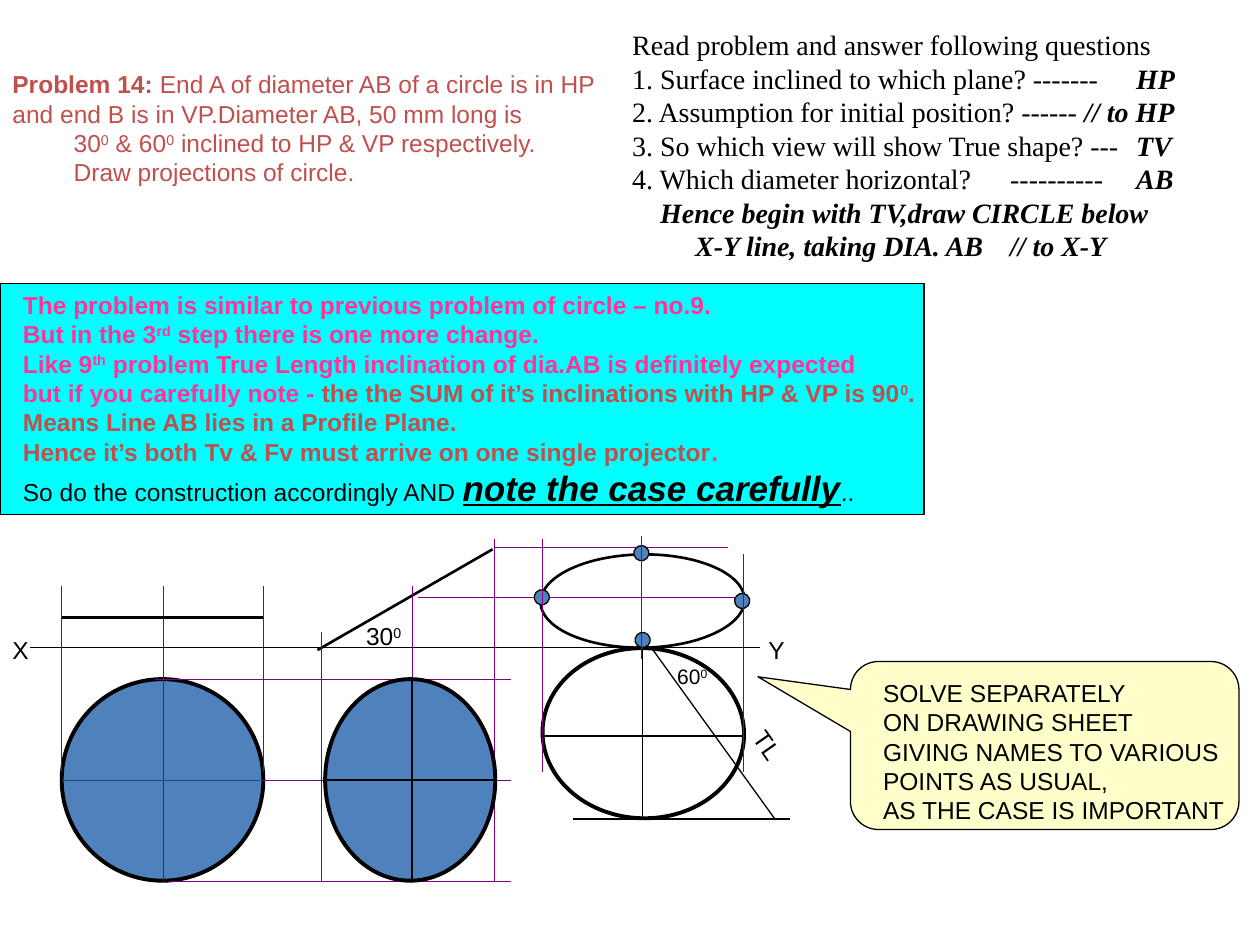
from pptx import Presentation
from pptx.dml.color import RGBColor
from pptx.enum.shapes import MSO_CONNECTOR, MSO_SHAPE as SHAPE
from pptx.enum.text import MSO_AUTO_SIZE as AUTO, PP_ALIGN as ALIGN
from pptx.oxml.ns import qn
from pptx.util import Pt
from lxml.etree import SubElement

COLORS = {
    "black": "000000", "white": "FFFFFF", "red": "C0504D", "pink": "FF3399",
    "cyan": "00FFFF", "cream": "FFFFCC", "blue": "4F81BD", "navy": "1F497D",
    "purple": "800080",
}


class SlideBuilder:
    font = "Arial"
    size = 14

    def __init__(self, slide):
        self.slide = slide

    def color(self, name):
        return RGBColor.from_string(COLORS[name])

    def shape(self, kind, box, fill, weight=0.75, rotation=0):
        shape = self.slide.shapes.add_shape(kind, *map(Pt, box))
        shape.shadow.inherit = False
        shape.fill.solid()
        shape.fill.fore_color.rgb = self.color(fill)
        shape.line.color.rgb = self.color("black")
        shape.line.width = Pt(weight)
        shape.rotation = rotation
        return shape

    def line(self, start, end, color="black", weight=0.75):
        line = self.slide.shapes.add_connector(
            MSO_CONNECTOR.STRAIGHT, *map(Pt, (*start, *end)))
        line.line.color.rgb = self.color(color)
        line.line.width = Pt(weight)
        SubElement(line._element.spPr, qn("a:effectLst"))

    def vertical(self, x, top, bottom, color="purple", weight=0.25):
        self.line((x, top), (x, bottom), color, weight)

    def horizontal(self, y, left, right, color="purple", weight=0.25):
        self.line((left, y), (right, y), color, weight)

    def text(self, box, paragraphs, color="black", size=None, font=None,
             align=ALIGN.LEFT, wrap=False, rotation=0):
        """Each paragraph is (runs, options); options hold indent and tabs."""
        shape = self.slide.shapes.add_textbox(*map(Pt, box))
        shape.rotation = rotation
        frame = shape.text_frame
        frame.word_wrap = wrap
        frame.auto_size = AUTO.SHAPE_TO_FIT_TEXT
        for index, (runs, options) in enumerate(paragraphs):
            paragraph = frame.paragraphs[0] if index == 0 else frame.add_paragraph()
            paragraph.alignment = align
            self.layout(paragraph, **options)
            for run in runs:
                self.run(paragraph, color, size or self.size, font or self.font, *run)

    def layout(self, paragraph, indent=0, tabs=()):
        properties = paragraph._p.get_or_add_pPr()
        properties.set("marL", str(Pt(indent)))
        properties.set("indent", "0")
        if tabs:
            tab_list = SubElement(properties, qn("a:tabLst"))
            for position in tabs:
                SubElement(tab_list, qn("a:tab"), pos=str(Pt(position)), algn="l")

    def run(self, paragraph, color, size, font, words, flags="", own_color=None, own_size=None):
        """Flags: b bold, i italic, u underline, ^ superscript."""
        run = paragraph.add_run()
        run.text = words
        run.font.name = font
        run.font.size = Pt(own_size or size)
        run.font.bold = "b" in flags
        run.font.italic = "i" in flags
        run.font.underline = "u" in flags
        run.font.color.rgb = self.color(own_color or color)
        if "^" in flags:
            run._r.get_or_add_rPr().set("baseline", "30000")


def line_of(*runs, **options):
    """A paragraph; a plain string stands for an unstyled run."""
    return [(run,) if isinstance(run, str) else run for run in runs], options


def add_notes(builder):
    # Problem statement
    builder.text((0, 36, 349.2, 74.9), [
        line_of(("Problem 14: ", "b"), "End A of diameter AB of a circle is in HP"),
        line_of("and end B is in VP.Diameter AB, 50 mm long is"),
        line_of("30", ("0", "^"), " & 60", ("0", "^"),
                " inclined to HP & VP respectively.", indent=35),
        line_of("Draw projections of circle.", indent=35),
    ], color="red")

    # Explanation panel
    builder.shape(SHAPE.RECTANGLE, (0, 162, 528, 132), "cyan")
    builder.text((6, 162, 526, 132), [
        line_of(("The problem is similar to previous problem of circle – no.9.", "b")),
        line_of(("But in the 3", "b"), ("rd", "b^"), (" step there is one more change.", "b")),
        line_of(("Like 9", "b"), ("th", "b^"),
                (" problem True Length inclination of dia.AB is definitely expected", "b")),
        line_of(("but if you carefully note - ", "b"),
                ("the the SUM of it’s inclinations with HP & VP is 90", "b", "red"),
                ("0", "b^", "red"), (".", "b", "red")),
        line_of(("Means Line AB lies in a Profile Plane.", "b", "red")),
        line_of(("Hence it’s both Tv & Fv must arrive on one single projector", "b", "red"),
                (".", "b")),
        line_of(("So do the construction accordingly AND ", "", "black"),
                ("note the case carefully", "biu", "black", 20), ("..", "", "black")),
    ], color="pink")

    # Callout
    callout = builder.shape(SHAPE.ROUNDED_RECTANGULAR_CALLOUT, (486, 378, 222, 96), "cream")
    for index, value in enumerate((-0.738, -0.409, 0.167)):
        callout.adjustments[index] = value
    builder.text((497.5, 383.8, 214.5, 90.7), [line_of(words) for words in (
        "SOLVE SEPARATELY", "ON DRAWING SHEET", "GIVING NAMES TO VARIOUS",
        "POINTS AS USUAL,", "AS THE CASE IS IMPORTANT")])


def add_drawing(builder):
    xy, top, middle, bottom = 370.1, 388.1, 445.7, 503.3

    # Final front view, then first top view
    builder.shape(SHAPE.OVAL, (308.9, 316.8, 116.6, 53.3), "white", 1.5, 359.2)
    builder.shape(SHAPE.OVAL, (35.3, top, 115.2, 115.2), "blue", 2.25)
    builder.horizontal(middle, 35.3, 150.5, "navy", 0.5)
    builder.vertical(93.6, top, bottom, weight=0.5)
    builder.horizontal(xy, 17.3, 434.2, "black", 0.75)
    for x, end in ((35.3, 441.4), (150.5, 441.4), (93.6, top)):
        builder.vertical(x, 334.8, end, weight=0.5)
    builder.horizontal(352.8, 35.3, 150.5, "black", 1.5)

    # Inclined front view with its projectors
    builder.line((181.4, 371.5), (281.5, 313.9), weight=1.5)
    for x, start in ((282.2, 308.2), (235.4, 334.8), (183.6, 361.4)):
        builder.vertical(x, start, bottom)
    for y, left in ((top, 88.6), (middle, 150.5), (bottom, 97.2)):
        builder.horizontal(y, left, 292.3)

    # Second and third top views
    builder.shape(SHAPE.OVAL, (185.8, top, 97.2, 115.2), "blue", 2.25)
    builder.vertical(235.4, top, bottom, "black", 0.75)
    builder.shape(SHAPE.OVAL, (319, 361.4, 97.2, 115.2), "white", 2.25, 272.1)
    builder.horizontal(312.5, 283, 416.2)
    builder.horizontal(341.3, 239, 424.8)

    # End points of the diameters
    for left, dot_top in ((305.3, 337), (362.9, 361.4), (419.8, 339.1), (362.2, 311.8)):
        builder.shape(SHAPE.OVAL, (left, dot_top, 8.64, 8.64), "blue", rotation=12.2)

    # Axes, true length line and single projector
    builder.vertical(309.6, 308.2, 441.4)
    builder.vertical(424.8, 316.8, 441.4)
    builder.horizontal(middle, 185.8, 283, "black", 0.75)
    builder.horizontal(420.5, 309.6, 424.8, "black", 0.75)
    builder.vertical(367.2, xy, 468, "black", 0.75)
    builder.line((372.2, xy), (442.8, 468))
    builder.text((423.4, 414, 31, 23.8), [line_of("TL")], rotation=55)
    builder.horizontal(468, 327.6, 451.4, "black", 0.75)
    builder.vertical(366.5, 306, 376.6, weight=0.75)

    # Axis and angle labels
    for left, words in ((0, "X"), (432, "Y")):
        builder.text((left, 359.3, 23.8, 23.8), [line_of(words)])
    for box, words, size in (((201.6, 351.4, 35.3, 23.8), "30", 14),
                             ((379.4, 375.8, 32.4, 21.6), "60", 12)):
        builder.text(box, [line_of(words, ("0", "^"))], size=size, align=ALIGN.CENTER)


def add_questions(builder):
    builder.text((354.2, 12.2, 342, 141.8), [
        line_of("Read problem and answer following questions"),
        line_of("1. Surface inclined to which plane? -------\t", ("HP", "bi"), tabs=[290]),
        line_of("2. Assumption for initial position? ------ ", ("// to HP", "bi")),
        line_of("3. So which view will show True shape? ---\t", ("TV", "bi"), tabs=[290]),
        line_of("4. Which diameter horizontal?\t----------\t", ("AB", "bi"), tabs=[206, 287]),
        line_of(("Hence begin with TV,draw CIRCLE below", "bi"), indent=16),
        line_of(("\tX-Y line, taking DIA. AB\t// to X-Y", "bi"), tabs=[20, 192]),
    ], size=16, font="Times New Roman", wrap=True)


def main():
    presentation = Presentation()
    presentation.slide_width, presentation.slide_height = Pt(720), Pt(540)
    builder = SlideBuilder(presentation.slides.add_slide(presentation.slide_layouts[6]))
    add_notes(builder)
    add_drawing(builder)
    add_questions(builder)
    presentation.save("out.pptx")


if __name__ == "__main__":
    main()
